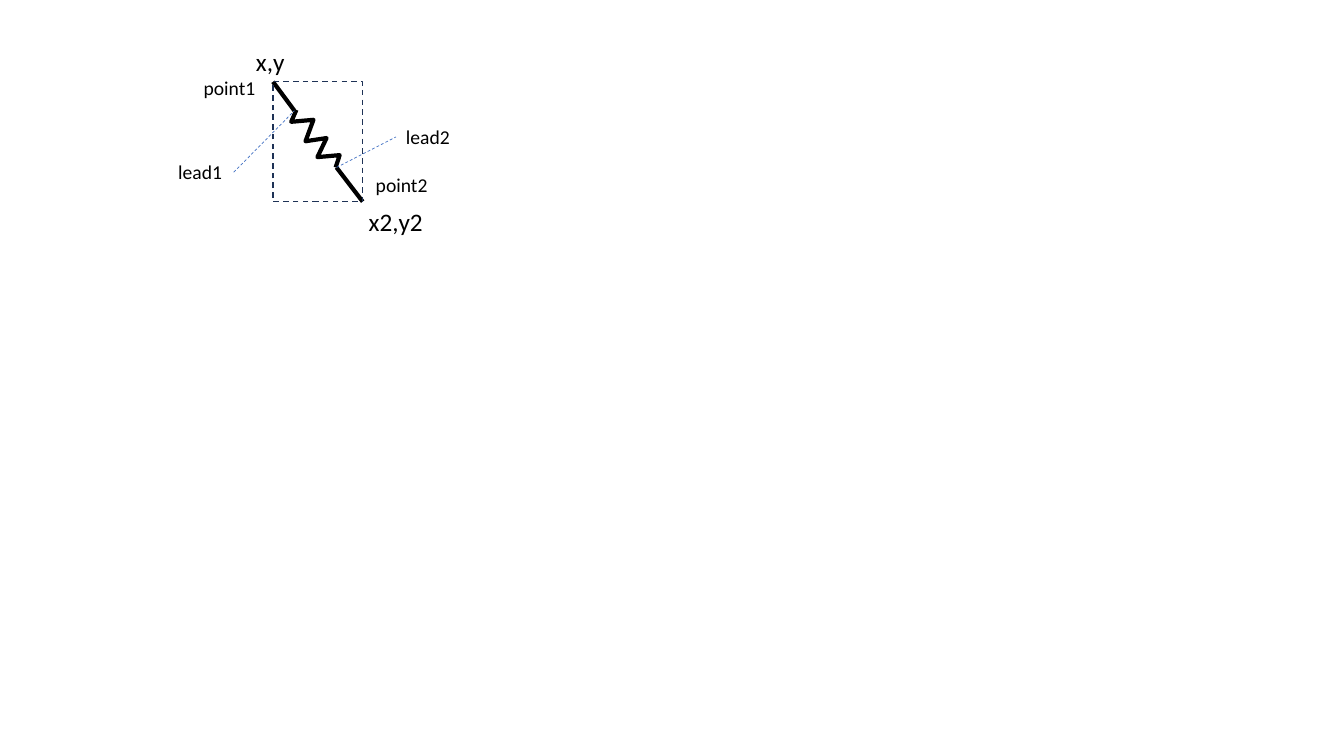
from dataclasses import dataclass

from lxml import etree
from pptx import Presentation
from pptx.dml.color import RGBColor
from pptx.dml.line import LineFormat
from pptx.enum.dml import MSO_LINE
from pptx.enum.shapes import MSO_CONNECTOR, MSO_SHAPE
from pptx.enum.text import MSO_AUTO_SIZE
from pptx.oxml.ns import qn
from pptx.shapes.shapetree import GroupShapes, SlideShapes
from pptx.util import Cm, Pt

DASH = MSO_LINE.DASH
STRAIGHT = MSO_CONNECTOR.STRAIGHT
RECT = MSO_SHAPE.RECTANGLE
FIT = MSO_AUTO_SIZE.SHAPE_TO_FIT_TEXT

FONT = "Calibri"
COLORS = {"ink": "000000", "frame": "1E3256", "guide": "4472C4"}

Point = tuple[float, float]
Tree = SlideShapes | GroupShapes


@dataclass
class Label:
    text: str
    left: float
    top: float
    width: float
    height: float
    size: int


@dataclass
class Wire:
    start: Point
    end: Point


def style_line(line: LineFormat, color: str, width: float, dashed: bool) -> None:
    line.color.rgb = RGBColor.from_string(COLORS[color])
    line.width = Pt(width)
    if dashed:
        line.dash_style = DASH


def draw_wire(tree: Tree, wire: Wire, color: str, width: float, dashed: bool) -> None:
    ends = [Cm(n) for n in wire.start + wire.end]
    link = tree.add_connector(STRAIGHT, *ends)
    style_line(link.line, color, width, dashed)
    etree.SubElement(link._element.spPr, qn("a:effectLst"))


def draw_zigzag(tree: Tree, points: list[Point]) -> None:
    spots = [(Cm(x), Cm(y)) for x, y in points]
    pen = tree.build_freeform(*spots[0])
    pen.add_line_segments(spots[1:], close=False)
    zigzag = pen.convert_to_shape()
    zigzag.shadow.inherit = False
    zigzag.fill.background()
    style_line(zigzag.line, "ink", 3, False)


def draw_frame(tree: Tree, start: Point, end: Point) -> None:
    (left, top), (right, base) = start, end
    frame = tree.add_shape(RECT, Cm(left), Cm(top), Cm(right - left), Cm(base - top))
    frame.shadow.inherit = False
    frame.fill.background()
    style_line(frame.line, "frame", 1, True)


def draw_label(tree: Tree, label: Label) -> None:
    box = tree.add_textbox(
        Cm(label.left), Cm(label.top), Cm(label.width), Cm(label.height)
    )
    frame = box.text_frame
    frame.word_wrap = False
    frame.auto_size = FIT
    run = frame.paragraphs[0].add_run()
    run.text = label.text
    run.font.name = FONT
    run.font.size = Pt(label.size)
    run.font.color.rgb = RGBColor.from_string(COLORS["ink"])


POINT1, POINT2 = (6.88, 2.06), (9.14, 5.08)
LEAD1, LEAD2 = (7.42, 2.79), (8.48, 4.22)
ZIGZAG = [
    (8.46, 4.22), (8.56, 3.91), (8.0, 3.96), (8.23, 3.48),
    (7.7, 3.56), (7.9, 3.02), (7.34, 3.07), (7.47, 2.77),
]
LEADS = [Wire(POINT2, LEAD2), Wire(LEAD1, POINT1)]
GUIDES = [Wire((5.89, 4.34), LEAD1), Wire(LEAD2, (9.98, 3.45))]
LABELS = [
    Label("x,y", 6.2, 1.04, 1.24, 1.02, 18),
    Label("x2,y2", 9.04, 5.08, 1.88, 1.02, 18),
    Label("point1", 4.88, 1.8, 1.83, 0.86, 14),
    Label("point2", 9.22, 4.24, 1.83, 0.86, 14),
    Label("lead1", 4.24, 3.91, 1.63, 0.86, 14),
    Label("lead2", 9.98, 3.02, 1.63, 0.86, 14),
]

deck = Presentation()
deck.slide_width, deck.slide_height = Cm(33.87), Cm(19.05)
slide = deck.slides.add_slide(deck.slide_layouts[6])
shapes = slide.shapes

part = shapes.add_group_shape().shapes
draw_zigzag(part, ZIGZAG)
for lead in LEADS:
    draw_wire(part, lead, "ink", 3, False)

draw_frame(shapes, POINT1, POINT2)
for label in LABELS:
    draw_label(shapes, label)
for guide in GUIDES:
    draw_wire(shapes, guide, "guide", 0.5, True)

deck.save("out.pptx")
